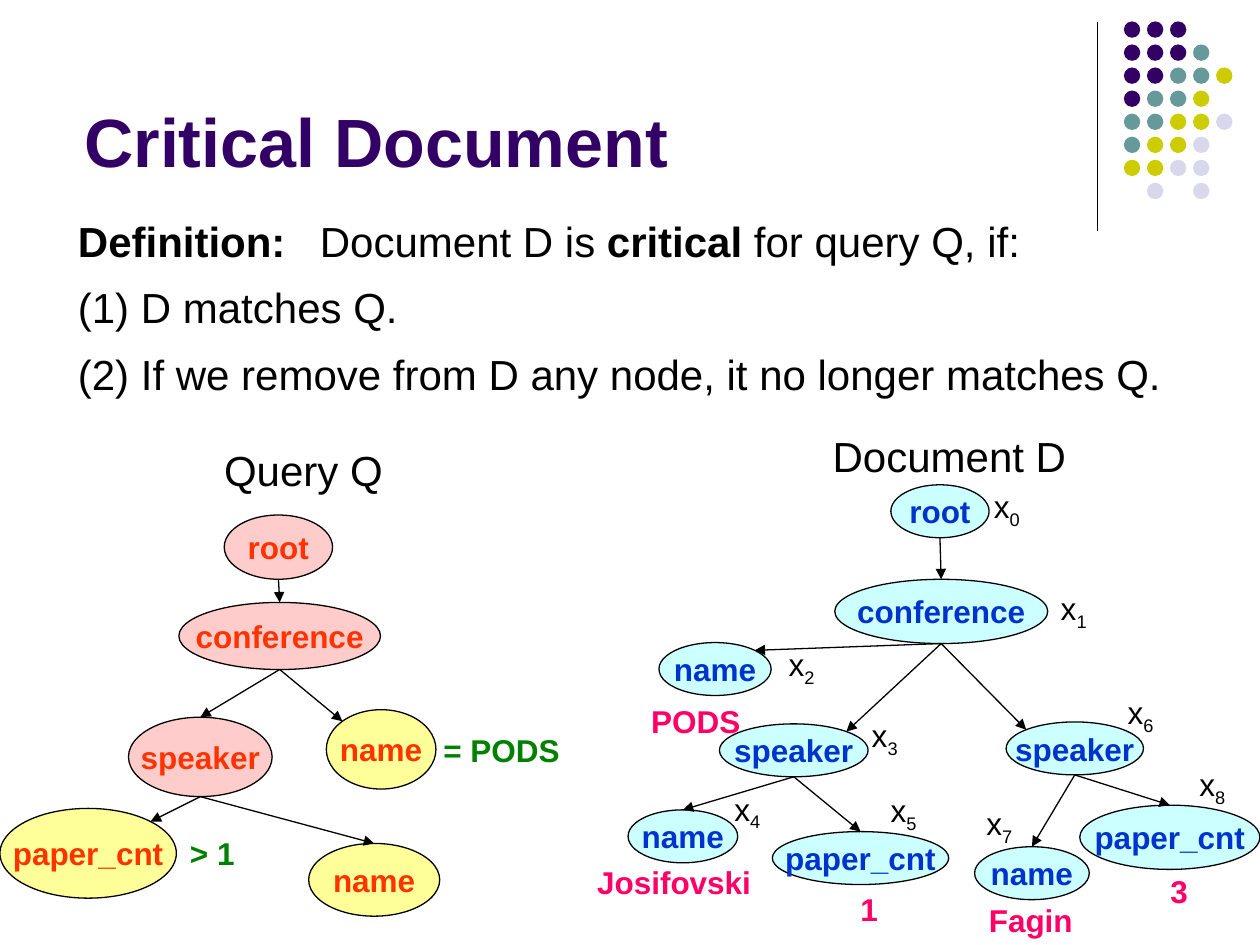
from math import sqrt

from lxml import etree
from pptx import Presentation
from pptx.dml.color import RGBColor
from pptx.enum.shapes import MSO_CONNECTOR, MSO_SHAPE
from pptx.enum.text import MSO_ANCHOR, PP_ALIGN
from pptx.oxml.ns import qn
from pptx.util import Inches, Pt

OVAL, LINE = MSO_SHAPE.OVAL, MSO_CONNECTOR.STRAIGHT
TOP, MIDDLE, BOTTOM = MSO_ANCHOR.TOP, MSO_ANCHOR.MIDDLE, MSO_ANCHOR.BOTTOM
CENTER = PP_ALIGN.CENTER
WIDTH, HEIGHT = 10, 7.5

COLORS = {
    "black": "000000", "purple": "330066", "teal": "669999", "olive": "CCCC00",
    "lilac": "D8D8EC", "pink": "FFCCCC", "yellow": "FFFF99", "cyan": "CCFFFF",
    "orange": "FF3300", "blue": "0033CC", "green": "008000", "magenta": "FF0066",
}

# Content; all places and sizes are percentages of the slide
DOT_ROWS = ["PPP", "PPPT", "PPTTO", "PTTO", "TTOOL", "TOOL", "OOLL", " L L"]
DOT_COLORS = {"P": "purple", "T": "teal", "O": "olive", "L": "lilac"}

TITLE = "Critical Document"
DEFINITION = [
    [("Definition:\t", True), ("Document D is ", False),
     ("critical", True), (" for query Q, if:", False)],
    [("(1) D matches Q.", False)],
    [("(2) If we remove from D any node, it no longer matches Q.", False)],
]
HEADINGS = [("Query Q", 16.8, 46.4, 17.5), ("Document D", 65.1, 44.9, 21.7)]

# key: text, fill, centre x, centre y, width, height, parent, entry side
# (entry side: -1 upper left, 0 top, 1 upper right)
QUERY = {
    "root": ("root", "pink", 22.1, 57.9, 8.6, 6.8, None, 0),
    "conf": ("conference", "pink", 22.2, 67.3, 16, 7.1, "root", 0),
    "conf name": ("name", "yellow", 30.25, 79.3, 8.7, 8.4, "conf", -1),
    "speaker": ("speaker", "pink", 15.9, 80.1, 11.4, 8.4, "conf", 0),
    "name": ("name", "yellow", 29.7, 93.1, 10.4, 7.7, "speaker", 0),
    "count": ("paper_cnt", "yellow", 7, 90.3, 14, 9.5, "speaker", 1),
}
DOCUMENT = {
    "x0": ("root", "cyan", 74.6, 54.1, 7.8, 5.6, None, 0),
    "x1": ("conference", "cyan", 74.7, 64.7, 16.9, 6.8, "x0", 0),
    "x2": ("name", "cyan", 56.75, 70.8, 8.9, 5.6, "x1", 1),
    "x3": ("speaker", "cyan", 63, 79.4, 11.8, 5.6, "x1", 1),
    "x4": ("name", "cyan", 54.2, 88.5, 8.7, 5.6, "x3", 0),
    "x5": ("paper_cnt", "cyan", 68.3, 90.8, 14, 5.6, "x3", 0),
    "x6": ("speaker", "cyan", 85.3, 79.2, 10.9, 5.6, "x1", -1),
    "x7": ("name", "cyan", 81.9, 92.4, 9.1, 5.6, "x6", 0),
    "x8": ("paper_cnt", "cyan", 92.85, 88.6, 14.3, 6.8, "x6", 0),
}
VALUES = [  # text, colour, left, top, width
    ("= PODS", "green", 34.2, 76.7, 11.9), ("> 1", "green", 14.1, 87.6, 5.7),
    ("PODS", "magenta", 50.7, 73.6, 9.2), ("Josifovski", "magenta", 46.4, 90.7, 14.5),
    ("Fagin", "magenta", 77.5, 94.7, 11.7), ("1", "magenta", 67.3, 93.5, 11.7),
    ("3", "magenta", 91.9, 91.6, 6.7),
]
NODE_IDS = [  # left, top of x0 to x8
    (77.9, 50.9), (83.2, 61.7), (61.6, 67.6), (68.2, 75.1), (57.3, 82.9),
    (69.7, 83.1), (88.5, 72.7), (77.3, 84.4), (94.2, 80.3),
]

prs = Presentation()
prs.slide_width, prs.slide_height = Inches(WIDTH), Inches(HEIGHT)
s = prs.slides.add_slide(prs.slide_layouts[6])


def rgb(name):
    return RGBColor.from_string(COLORS[name])


def px(share):
    return Inches(WIDTH * share / 100)


def py(share):
    return Inches(HEIGHT * share / 100)


def add_run(p, text, size, color, bold=False):
    r = p.add_run()
    r.text = text
    style = {"name": "Arial", "size": Pt(size), "bold": bold}
    for key, value in style.items():
        setattr(r.font, key, value)
    r.font.color.rgb = rgb(color)
    return r


def add_box(left, top, width, height, anchor=TOP):
    tf = s.shapes.add_textbox(px(left), py(top), px(width), py(height)).text_frame
    tf.word_wrap, tf.vertical_anchor = True, anchor
    return tf


def add_oval(left, top, width, height, fill):
    sp = s.shapes.add_shape(OVAL, left, top, width, height)
    sp.shadow.inherit = False
    sp.fill.solid()
    sp.fill.fore_color.rgb = rgb(fill)
    sp.line.fill.background()
    return sp


def add_line(x1, y1, x2, y2, arrow=True):
    c = s.shapes.add_connector(LINE, px(x1), py(y1), px(x2), py(y2))
    c.line.color.rgb, c.line.width = rgb("black"), Pt(0.75)
    if arrow:
        etree.SubElement(c.line._get_or_add_ln(), qn("a:tailEnd"), type="triangle")
    etree.SubElement(c._element.spPr, qn("a:effectLst"))


def add_tree(nodes, color):
    for text, fill, cx, cy, w, h, _, _ in nodes.values():
        sp = add_oval(px(cx - w / 2), py(cy - h / 2), px(w), py(h), fill)
        sp.line.color.rgb, sp.line.width = rgb("black"), Pt(0.75)
        tf = sp.text_frame
        tf.word_wrap, tf.vertical_anchor = False, MIDDLE
        tf.paragraphs[0].alignment = CENTER
        add_run(tf.paragraphs[0], text, 18, color, True)
    for _, _, cx, cy, w, h, parent, side in nodes.values():
        if parent:
            _, _, from_x, from_y, _, from_h, _, _ = nodes[parent]
            rise = sqrt(0.5) if side else 1
            add_line(from_x, from_y + from_h / 2,
                     cx + side * sqrt(0.5) * w / 2, cy - rise * h / 2)


# Corner ornament
add_line(87.1, 2.3, 87.1, 24.4, arrow=False)
DOT, PITCH = 0.13, 0.183
for row, marks in enumerate(DOT_ROWS):
    for col, mark in enumerate(marks):
        if mark in DOT_COLORS:
            add_oval(Inches(8.92 + col * PITCH), Inches(0.17 + row * PITCH),
                     Inches(DOT), Inches(DOT), DOT_COLORS[mark])

# Title and definition
tf = add_box(5.7, 2.7, 81.1, 17.1, BOTTOM)
add_run(tf.paragraphs[0], TITLE, 39, "purple", True)

tf = add_box(5.2, 22.1, 89.8, 20.8)
for i, runs in enumerate(DEFINITION):
    p = tf.add_paragraph() if i else tf.paragraphs[0]
    if i:
        p.line_spacing, p.space_before = 0.8, Pt(15)
    else:
        tabs = etree.SubElement(p._p.get_or_add_pPr(), qn("a:tabLst"))
        etree.SubElement(tabs, qn("a:tab"), pos=str(Inches(1.92)), algn="l")
    for text, bold in runs:
        add_run(p, text, 24, "black", bold)

# Trees
add_tree(QUERY, "orange")
add_tree(DOCUMENT, "blue")

# Headings, values and node names
for text, left, top, width in HEADINGS:
    add_run(add_box(left, top, width, 6.7).paragraphs[0], text, 24, "black")
for text, color, left, top, width in VALUES:
    add_run(add_box(left, top, width, 5.3).paragraphs[0], text, 18, color, True)
for i, (left, top) in enumerate(NODE_IDS):
    p = add_box(left, top, 5.8, 5.9).paragraphs[0]
    add_run(p, "x", 18, "black")
    r = add_run(p, str(i), 18, "black")
    r._r.get_or_add_rPr().set("baseline", "-25000")

prs.save("out.pptx")
